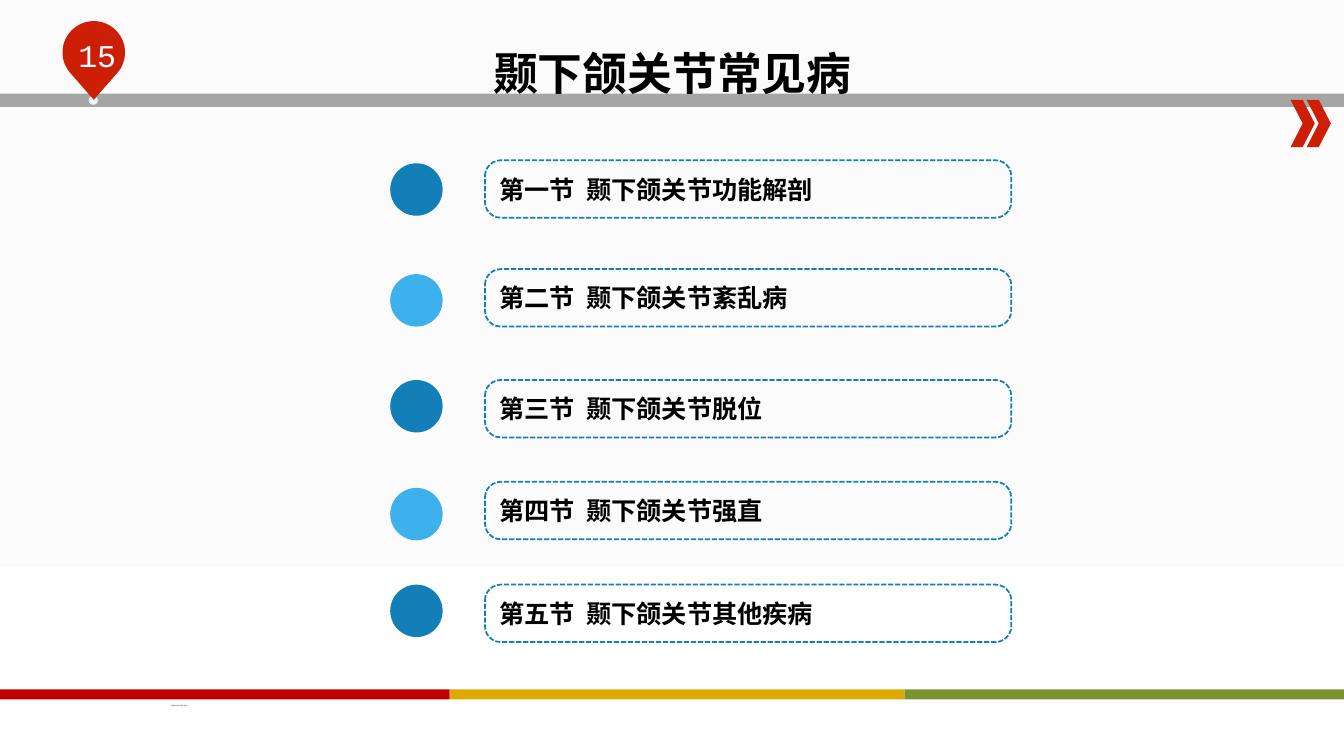
from dataclasses import dataclass
from math import cos, radians, sin

from lxml.etree import SubElement
from pptx import Presentation
from pptx.dml.color import RGBColor
from pptx.enum.dml import MSO_LINE
from pptx.enum.shapes import MSO_SHAPE as Shape
from pptx.enum.text import MSO_ANCHOR as Anchor, PP_ALIGN as Align
from pptx.oxml.ns import qn
from pptx.util import Inches, Pt

TITLE = "颞下颌关节常见病"
PAGE_NUMBER = "15"
FOOTER = "上海健康医学院附属周浦医院"
# section number, section name, dot top, box top
SECTIONS = [
    ("第一节", "颞下颌关节功能解剖", 1.62, 1.59),
    ("第二节", "颞下颌关节紊乱病", 2.72, 2.67),
    ("第三节", "颞下颌关节脱位", 3.77, 3.77),
    ("第四节", "颞下颌关节强直", 4.84, 4.78),
    ("第五节", "颞下颌关节其他疾病", 5.8, 5.8),
]


@dataclass(frozen=True)
class Theme:
    font: str = "Noto Sans CJK SC"
    number_font: str = "Courier New"
    title_size: float = 32
    section_size: float = 18
    number_size: float = 22.6
    footer_size: float = 1
    text: str = "000000"
    white: str = "FFFFFF"
    page: str = "FBFBFB"
    rule: str = "A5A5A5"
    accent: str = "CD1F06"
    pin_dot: str = "F6F6F6"
    footer: str = "1F497D"
    outline: str = "127FB8"
    dots: tuple = ("127FB8", "3CB1EC")
    stripes: tuple = ("C00000", "DEA900", "7C912F")


theme = Theme()


def color(value):
    return RGBColor.from_string(value)


def paint(shape, fill):
    shape.shadow.inherit = False
    shape.fill.solid()
    shape.fill.fore_color.rgb = color(fill)
    shape.line.fill.background()


def add_filled(slide, kind, left, top, width, height, fill):
    shape = slide.shapes.add_shape(
        kind, Inches(left), Inches(top), Inches(width), Inches(height))
    paint(shape, fill)


def write(para, text, font, size, fill, bold=False, align=Align.LEFT):
    """Fill a paragraph, naming the East Asian typeface as well as the Latin one."""
    para.text = text
    para.alignment = align
    para.font.name = font
    para.font.size = Pt(size)
    para.font.bold = bold
    para.font.color.rgb = color(fill)
    for span in para.runs:
        SubElement(span.font._element, qn("a:ea"), typeface=font)


def add_background(slide):
    fill = slide.background.fill
    fill.gradient()
    fill.gradient_angle = 270
    for stop, position, value in zip(
            fill.gradient_stops, (0.5, 1), (theme.page, theme.white)):
        stop.position = position
        stop.color.rgb = color(value)


def add_pin(slide):
    center_x, center_y, radius, tip_y = 0.93, 0.52, 0.31, 0.99
    arc = [(Inches(center_x + radius * cos(radians(angle))),
            Inches(center_y + radius * sin(radians(angle))))
           for angle in range(135, 406, 5)]
    builder = slide.shapes.build_freeform(Inches(center_x), Inches(tip_y))
    builder.add_line_segments(arc, close=True)
    paint(builder.convert_to_shape(), theme.accent)

    box = slide.shapes.add_textbox(
        Inches(0.53), Inches(0.31), Inches(0.87), Inches(0.41))
    box.text_frame.word_wrap = True
    write(box.text_frame.paragraphs[0], PAGE_NUMBER, theme.number_font,
          theme.number_size, theme.white, align=Align.CENTER)


def add_header(slide):
    add_filled(slide, Shape.RECTANGLE, 0, 0.93, 13.33, 0.13, theme.rule)
    for left in (12.8, 12.96):
        add_filled(slide, Shape.CHEVRON, left, 0.99, 0.24, 0.47, theme.accent)
    add_filled(slide, Shape.OVAL, 0.88, 0.95, 0.09, 0.09, theme.pin_dot)
    add_pin(slide)


def add_footer(slide):
    for index, fill in enumerate(theme.stripes):
        add_filled(slide, Shape.RECTANGLE, -0.04 + 4.505 * index, 6.84, 4.5, 0.1, fill)
    box = slide.shapes.add_textbox(
        Inches(1.59), Inches(6.95), Inches(0.38), Inches(0.12))
    box.text_frame.word_wrap = False
    write(box.text_frame.paragraphs[0], FOOTER, theme.font,
          theme.footer_size, theme.footer)


def add_title(slide):
    title = slide.shapes.title
    title.left, title.top = Inches(0.92), Inches(0.4)
    title.width, title.height = Inches(11.5), Inches(1.45)
    title.text_frame.vertical_anchor = Anchor.TOP
    write(title.text_frame.paragraphs[0], TITLE, theme.font, theme.title_size,
          theme.text, bold=True, align=Align.CENTER)


def add_section_box(slide, number, name, top):
    box = slide.shapes.add_shape(
        Shape.ROUNDED_RECTANGLE, Inches(4.81), Inches(top), Inches(5.22), Inches(0.57))
    box.adjustments[0] = 0.275
    box.shadow.inherit = False
    box.fill.background()
    box.line.color.rgb = color(theme.outline)
    box.line.width = Pt(1.25)
    box.line.dash_style = MSO_LINE.SQUARE_DOT
    box.text_frame.word_wrap = True
    box.text_frame.vertical_anchor = Anchor.MIDDLE
    para = box.text_frame.paragraphs[0]
    tabs = SubElement(para._p.get_or_add_pPr(), qn("a:tabLst"))
    SubElement(tabs, qn("a:tab"), pos=str(Inches(0.86)), algn="l")
    write(para, f"{number}\t{name}", theme.font, theme.section_size,
          theme.text, bold=True)


def main():
    deck = Presentation()
    deck.slide_width, deck.slide_height = Inches(13.33), Inches(7.5)
    slide = deck.slides.add_slide(deck.slide_layouts[5])
    add_background(slide)
    add_header(slide)
    add_footer(slide)
    add_title(slide)
    for index, (number, name, dot_top, box_top) in enumerate(SECTIONS):
        add_filled(slide, Shape.OVAL, 3.87, dot_top, 0.52, 0.52,
                   theme.dots[index % len(theme.dots)])
        add_section_box(slide, number, name, box_top)
    # The title stays in front of the grey rule.
    slide.shapes._spTree.append(slide.shapes.title._element)
    deck.save("out.pptx")


if __name__ == "__main__":
    main()
